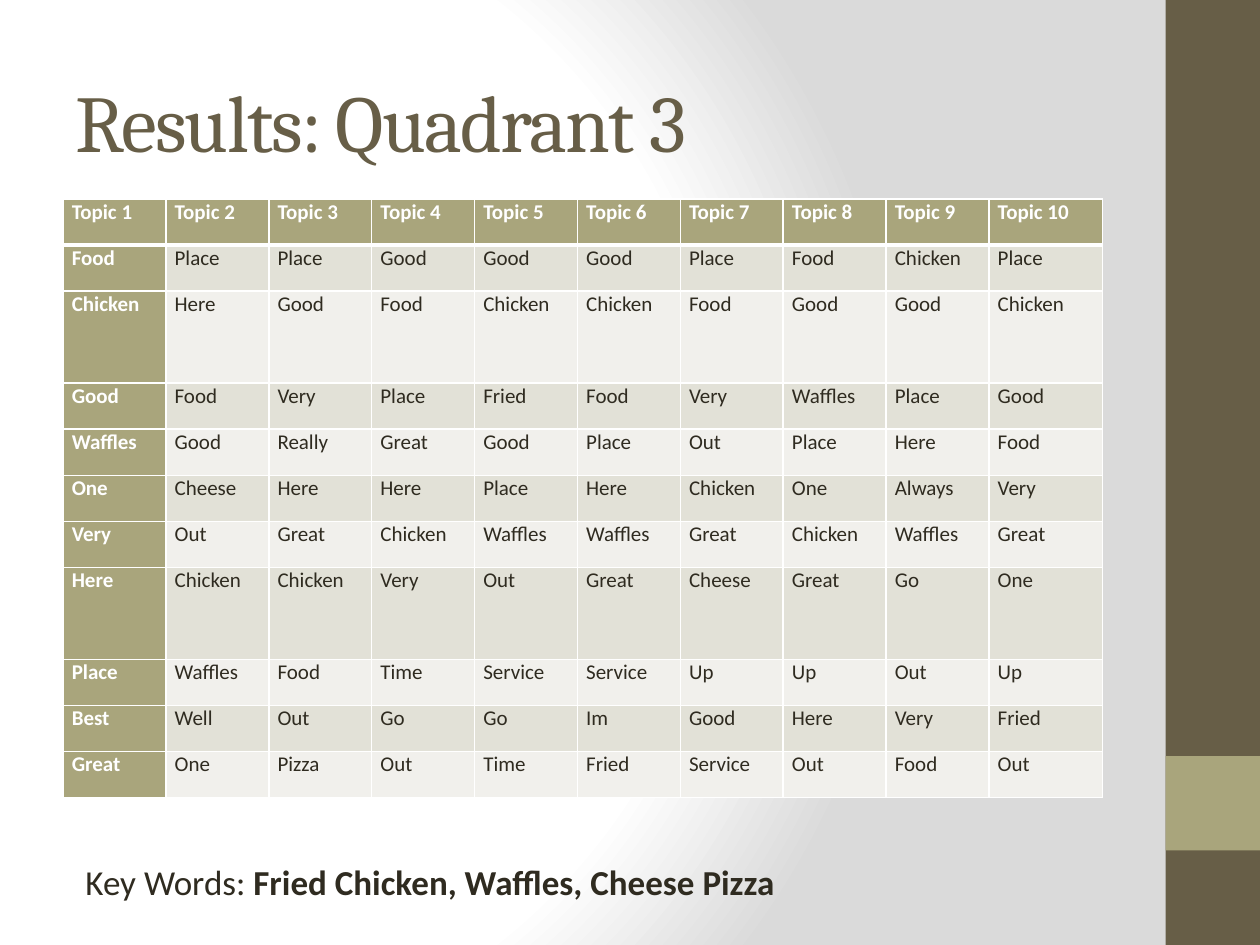
"""Build the Quadrant 3 results slide with its table of topic words."""
from pptx import Presentation
from pptx.dml.color import RGBColor
from pptx.enum import shapes, text
from pptx.oxml import parse_xml
from pptx.oxml.ns import nsdecls
from pptx.util import Inches, Pt

BROWN = RGBColor(0x67, 0x5E, 0x47)
OLIVE = RGBColor(0xA9, 0xA5, 0x7C)
INK = RGBColor(0x2F, 0x2B, 0x20)
WHITE = RGBColor(0xFF, 0xFF, 0xFF)
GREY = RGBColor(0xDA, 0xDA, 0xDA)
BAND_DARK = RGBColor(0xE2, 0xE1, 0xD7)
BAND_LIGHT = RGBColor(0xF1, 0xF0, 0xEC)

WORDS = [
    [f"Topic {number}" for number in range(1, 11)],
    "Food Place Place Good Good Good Place Food Chicken Place".split(),
    "Chicken Here Good Food Chicken Chicken Food Good Good Chicken".split(),
    "Good Food Very Place Fried Food Very Waffles Place Good".split(),
    "Waffles Good Really Great Good Place Out Place Here Food".split(),
    "One Cheese Here Here Place Here Chicken One Always Very".split(),
    "Very Out Great Chicken Waffles Waffles Great Chicken Waffles Great".split(),
    "Here Chicken Chicken Very Out Great Cheese Great Go One".split(),
    "Place Waffles Food Time Service Service Up Up Out Up".split(),
    "Best Well Out Go Go Im Good Here Very Fried".split(),
    "Great One Pizza Out Time Fried Service Out Food Out".split(),
]
TALL_ROWS = (2, 7)


def style(span, font, size, color, bold=False):
    span.font.name = font
    span.font.size = Pt(size)
    span.font.color.rgb = color
    span.font.bold = bold


def add_border(cell, side, width):
    cell._tc.get_or_add_tcPr().append(parse_xml(
        f'<a:{side} {nsdecls("a")} w="{Pt(width)}"><a:solidFill>'
        f'<a:srgbClr val="{WHITE}"/></a:solidFill></a:{side}>'))


deck = Presentation()
deck.slide_width, deck.slide_height = Inches(10), Inches(7.5)
page = deck.slides.add_slide(deck.slide_layouts[6])

stops = "".join(
    f'<a:gs pos="{percent * 1000}"><a:srgbClr val="{color}"/></a:gs>'
    for percent, color in ((0, WHITE), (75, WHITE), (100, GREY)))
page.element.cSld.insert(0, parse_xml(
    f'<p:bg {nsdecls("p", "a")}><p:bgPr><a:gradFill rotWithShape="1">'
    f'<a:gsLst>{stops}</a:gsLst><a:path path="circle">'
    '<a:fillToRect l="20000" t="50000" r="100000" b="50000"/></a:path>'
    '</a:gradFill><a:effectLst/></p:bgPr></p:bg>'))

for top, height, color in ((0, 7.5, BROWN), (6, 0.75, OLIVE)):
    bar = page.shapes.add_shape(shapes.MSO_SHAPE.RECTANGLE, Inches(9.25),
                                Inches(top), Inches(0.75), Inches(height))
    bar.shadow.inherit = False
    bar.fill.solid()
    bar.fill.fore_color.rgb = color
    bar.line.fill.background()

title = page.shapes.add_textbox(Inches(0.5), Inches(0.33), Inches(8.33), Inches(1.25))
title.text_frame.word_wrap = True
title.text_frame.vertical_anchor = text.MSO_ANCHOR.MIDDLE
title.text_frame.text = "Results: Quadrant 3"
span = title.text_frame.paragraphs[0].runs[0]
style(span, "Cambria", 46, BROWN)
span.font._element.set("spc", "-100")

table = page.shapes.add_table(len(WORDS), len(WORDS[0]), Inches(0.5), Inches(1.58),
                              Inches(8.25), Inches(4.75)).table
for index, column in enumerate(table.columns):
    column.width = Inches(0.9) if index == 9 else Inches((8.25 - 0.9) / 9)
row_unit = 4.75 / (len(WORDS) + len(TALL_ROWS))
for index, row in enumerate(table.rows):
    row.height = Inches(row_unit * (2 if index in TALL_ROWS else 1))
    for position, word in enumerate(WORDS[index]):
        cell = table.cell(index, position)
        heading = index == 0 or position == 0
        cell.margin_left = cell.margin_right = Inches(0.07)
        cell.margin_top = cell.margin_bottom = 0
        for side, width in (("lnL", 1), ("lnR", 1), ("lnT", 3 if index == 1 else 1),
                            ("lnB", 3 if index == 0 else 1)):
            add_border(cell, side, width)
        cell.fill.solid()
        band = BAND_DARK if index % 2 else BAND_LIGHT
        cell.fill.fore_color.rgb = OLIVE if heading else band
        cell.text_frame.text = word
        style(cell.text_frame.paragraphs[0].runs[0], "Calibri", 12,
              WHITE if heading else INK, heading)

key_words = page.shapes.add_textbox(Inches(0.58), Inches(6.78), Inches(5.73), Inches(0.44))
key_words.text_frame.word_wrap = False
key_words.text_frame.auto_size = text.MSO_AUTO_SIZE.SHAPE_TO_FIT_TEXT
key_words.text_frame.vertical_anchor = text.MSO_ANCHOR.MIDDLE
para = key_words.text_frame.paragraphs[0]
for words, bold in (("Key Words: ", False), ("Fried Chicken, Waffles, Cheese Pizza", True)):
    span = para.add_run()
    span.text = words
    style(span, "Calibri", 20, INK, bold)

deck.save("out.pptx")
